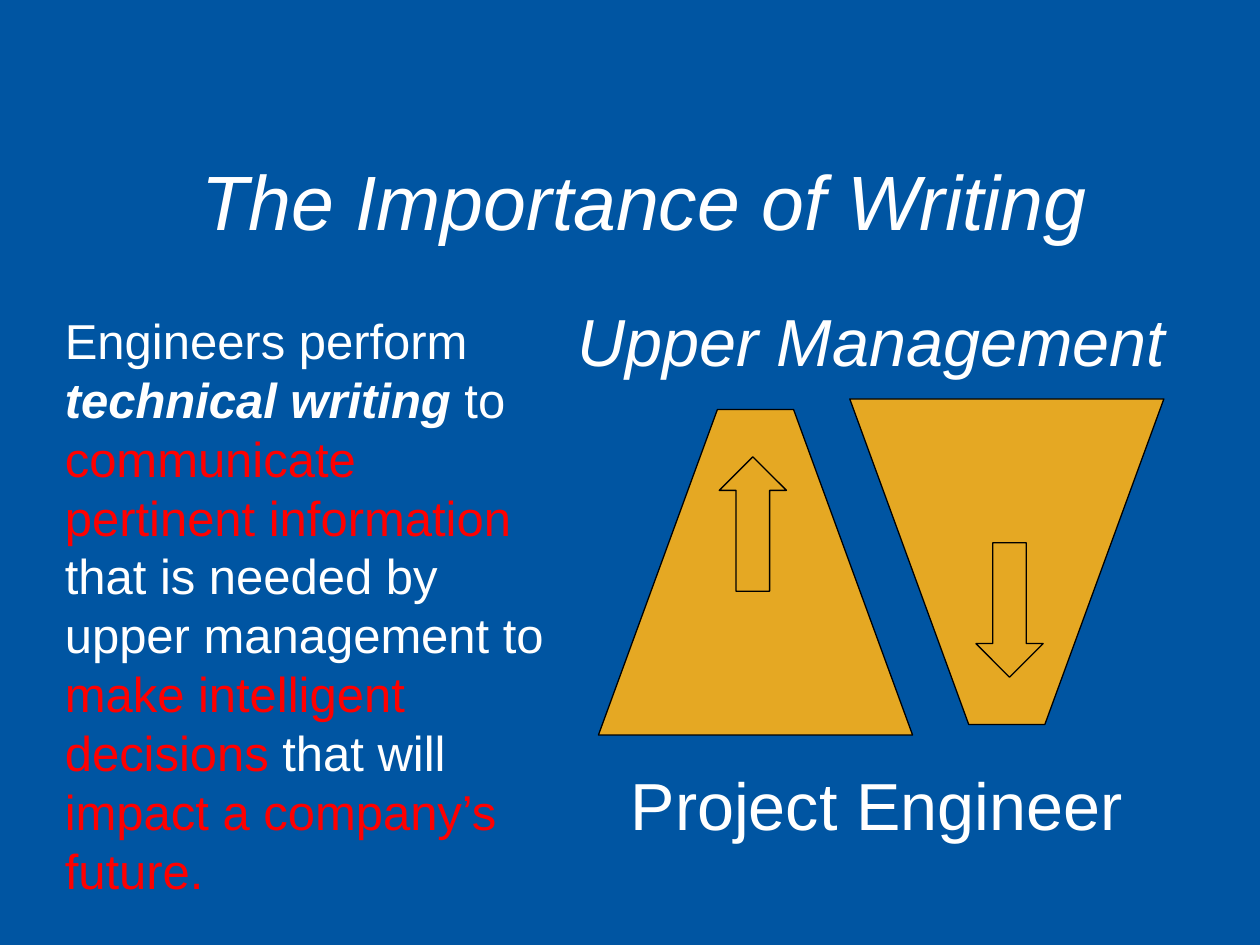
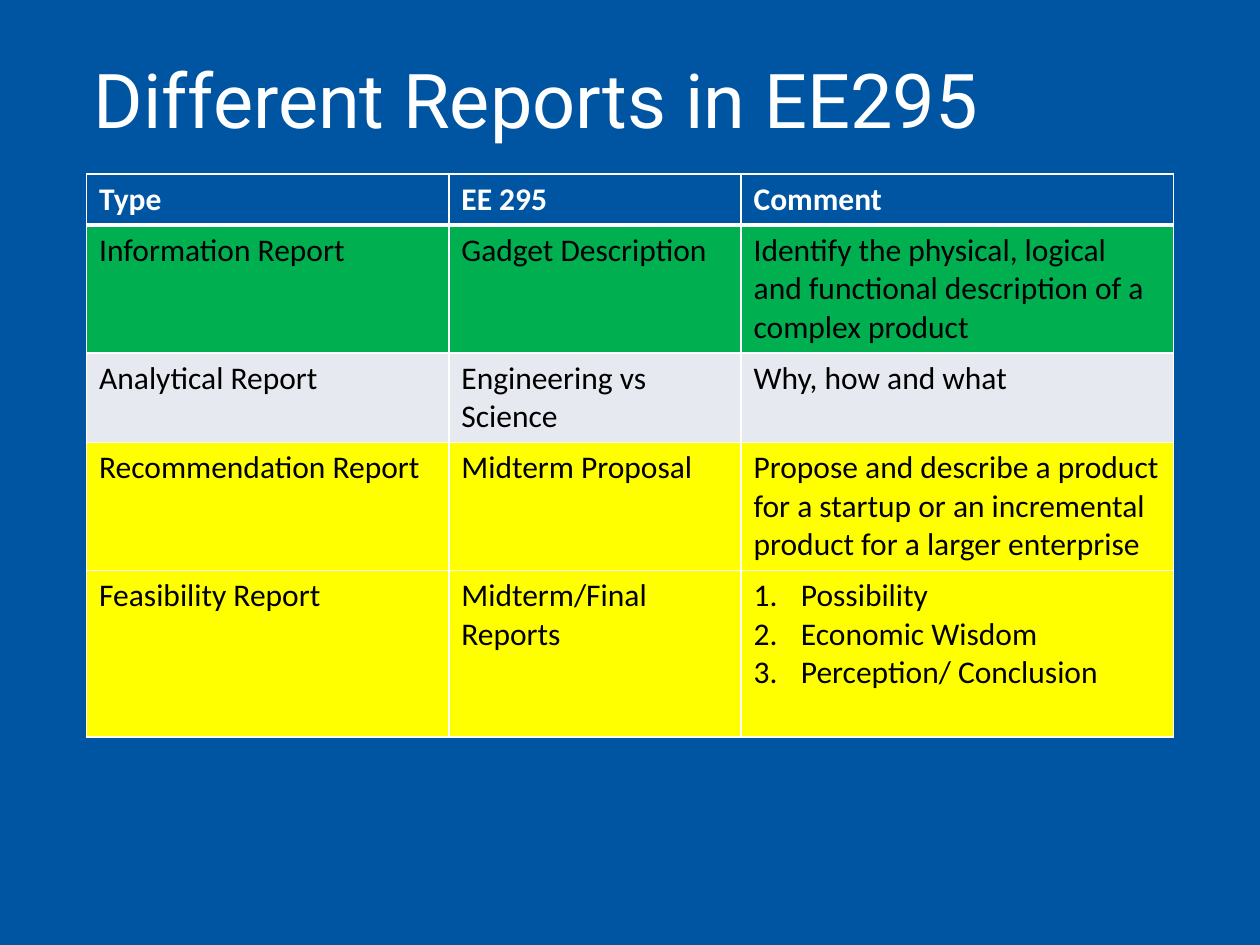
from dataclasses import dataclass
from typing import Any

import pptx
import pptx.dml.color
import pptx.enum.shapes
import pptx.enum.text
import pptx.oxml.ns
import pptx.util
from lxml import etree

Pt = pptx.util.Pt
RGBColor = pptx.dml.color.RGBColor
Align = pptx.enum.text.PP_ALIGN
Anchor = pptx.enum.text.MSO_ANCHOR
Shape = pptx.enum.shapes.MSO_SHAPE

BLUE = RGBColor(0x00, 0x55, 0xA2)
WHITE = RGBColor(0xFF, 0xFF, 0xFF)
BLACK = RGBColor(0x00, 0x00, 0x00)
RED = RGBColor(0xFF, 0x00, 0x00)
GOLD = RGBColor(0xE5, 0xA8, 0x23)
GREEN = RGBColor(0x00, 0xB0, 0x50)
GRAY = RGBColor(0xE7, 0xE9, 0xF0)
YELLOW = RGBColor(0xFF, 0xFF, 0x00)


@dataclass
class Run:
    text: str
    color: RGBColor | None = None
    strong: bool = False


@dataclass
class Label:
    left: float
    top: float
    width: float
    height: float
    runs: list[Run]
    style: dict[str, Any]


@dataclass
class Flow:
    left: float
    top: float
    up: bool


@dataclass
class Row:
    height: float
    fill: RGBColor
    cells: list[list[str]]


LABELS = [
    Label(108, 84, 600, 60, [Run("The Importance of Writing")],
          dict(size=44, italic=True)),
    Label(318, 168, 360, 53, [Run("Upper Management")],
          dict(size=38, italic=True, align=Align.CENTER)),
    Label(330, 433.2, 342, 53, [Run("Project Engineer")],
          dict(size=38, align=Align.CENTER)),
    Label(30, 174, 294, 346, [
        Run("Engineers perform "),
        Run("technical writing", strong=True),
        Run(" to "),
        Run("communicate pertinent information ", RED),
        Run("that is needed by upper management to "),
        Run("make intelligent decisions", RED),
        Run(" that will "),
        Run("impact a company’s future.", RED),
    ], dict(size=28)),
]

FLOWS = [Flow(342, 234, True), Flow(485.6, 228, False)]
WIDE, TALL, INSET = 179.5, 186, 68
ARROW_W, ARROW_H, ARROW_X, ARROW_Y = 38.4, 76.8, 69, 27

COLS = [207, 167, 247]
ROWS = [
    Row(29, BLUE, [["Type"], ["EE 295"], ["Comment"]]),
    Row(73.2, GREEN, [
        ["Information Report"], ["Gadget Description"],
        ["Identify the physical, logical and functional "
         "description of a complex product"]]),
    Row(51.2, GRAY, [
        ["Analytical Report"], ["Engineering vs Science"],
        ["Why, how and what"]]),
    Row(73, YELLOW, [
        ["Recommendation Report"], ["Midterm Proposal"],
        ["Propose and describe a product for a startup or an "
         "incremental product for a larger enterprise"]]),
    Row(95.2, YELLOW, [
        ["Feasibility Report"], ["Midterm/Final Reports"],
        ["Possibility", "Economic Wisdom", "Perception/ Conclusion"]]),
]


def write(frame, paras: list[list[Run]], *, size: float, font: str = "Arial",
          color: RGBColor = WHITE, bold: bool = False, italic: bool = False,
          align=Align.LEFT, space: float | None = None,
          count: bool = False) -> None:
    for i, runs in enumerate(paras):
        para = frame.add_paragraph() if i else frame.paragraphs[0]
        para.alignment = align
        if space:
            para.line_spacing = space
        if count:
            props = para._p.get_or_add_pPr()
            props.set("marL", str(Pt(27)))
            props.set("indent", str(-Pt(27)))
            etree.SubElement(props, pptx.oxml.ns.qn("a:buAutoNum"),
                             type="arabicPeriod")
        for item in runs:
            run = para.add_run()
            run.text = item.text
            run.font.name = font
            run.font.size = Pt(size)
            run.font.bold = bold or item.strong
            run.font.italic = italic or item.strong
            run.font.color.rgb = item.color or color


def place(slide, label: Label, anchor=Anchor.TOP) -> None:
    box = slide.shapes.add_textbox(Pt(label.left), Pt(label.top),
                                   Pt(label.width), Pt(label.height))
    box.text_frame.word_wrap = True
    box.text_frame.vertical_anchor = anchor
    write(box.text_frame, [label.runs], **label.style)


def paint(shape) -> None:
    shape.shadow.inherit = False
    shape.fill.solid()
    shape.fill.fore_color.rgb = GOLD
    shape.line.color.rgb = BLACK
    shape.line.width = Pt(0.75)


def draw(slide, flow: Flow) -> None:
    group = slide.shapes.add_group_shape()
    narrow, broad = (0, TALL) if flow.up else (TALL, 0)
    spots = [(Pt(flow.left + x), Pt(flow.top + y)) for x, y in (
        (0, broad), (INSET, narrow), (WIDE - INSET, narrow), (WIDE, broad))]
    pen = group.shapes.build_freeform(*spots[0])
    pen.add_line_segments(spots[1:], close=True)
    paint(pen.convert_to_shape())

    x, y, kind = ARROW_X, ARROW_Y, Shape.UP_ARROW
    if not flow.up:
        x, y = WIDE - ARROW_W - x, TALL - ARROW_H - y
        kind = Shape.DOWN_ARROW
    arrow = group.shapes.add_shape(kind, Pt(flow.left + x), Pt(flow.top + y),
                                   Pt(ARROW_W), Pt(ARROW_H))
    arrow.adjustments[0] = arrow.adjustments[1] = 0.5
    paint(arrow)


def edge(cell, side: str, width: float) -> None:
    qn = pptx.oxml.ns.qn
    line = etree.SubElement(cell._tc.get_or_add_tcPr(), qn(f"a:ln{side}"),
                            w=str(Pt(width)))
    fill = etree.SubElement(line, qn("a:solidFill"))
    etree.SubElement(fill, qn("a:srgbClr"), val=str(WHITE))


def fill_table(slide) -> None:
    table = slide.shapes.add_table(
        len(ROWS), len(COLS), Pt(49.5), Pt(99.5), Pt(sum(COLS)),
        Pt(sum(row.height for row in ROWS))).table
    table.horz_banding = False
    for col, width in zip(table.columns, COLS):
        col.width = Pt(width)
    for r, row in enumerate(ROWS):
        table.rows[r].height = Pt(row.height)
        head = r == 0
        for c, lines in enumerate(row.cells):
            cell = table.cell(r, c)
            for side, width in (("L", 1), ("R", 1), ("T", 3 if r == 1 else 1),
                                ("B", 3 if head else 1)):
                edge(cell, side, width)
            cell.fill.solid()
            cell.fill.fore_color.rgb = row.fill
            write(cell.text_frame, [[Run(line)] for line in lines], size=18,
                  font="Calibri", color=WHITE if head else BLACK, bold=head,
                  count=len(lines) > 1)


def main() -> None:
    deck = pptx.Presentation()
    deck.slide_width, deck.slide_height = Pt(720), Pt(540)
    back = deck.slide_master.background.fill
    back.solid()
    back.fore_color.rgb = BLUE
    blank = deck.slide_layouts[6]

    slide = deck.slides.add_slide(blank)
    for label in LABELS:
        place(slide, label)
    for flow in FLOWS:
        draw(slide, flow)

    slide = deck.slides.add_slide(blank)
    place(slide, Label(46.4, 24.5, 621, 70, [Run("Different Reports in EE295")],
                       dict(size=43.2, font="Roboto", space=0.9)),
          Anchor.MIDDLE)
    fill_table(slide)
    deck.save("out.pptx")


if __name__ == "__main__":
    main()
